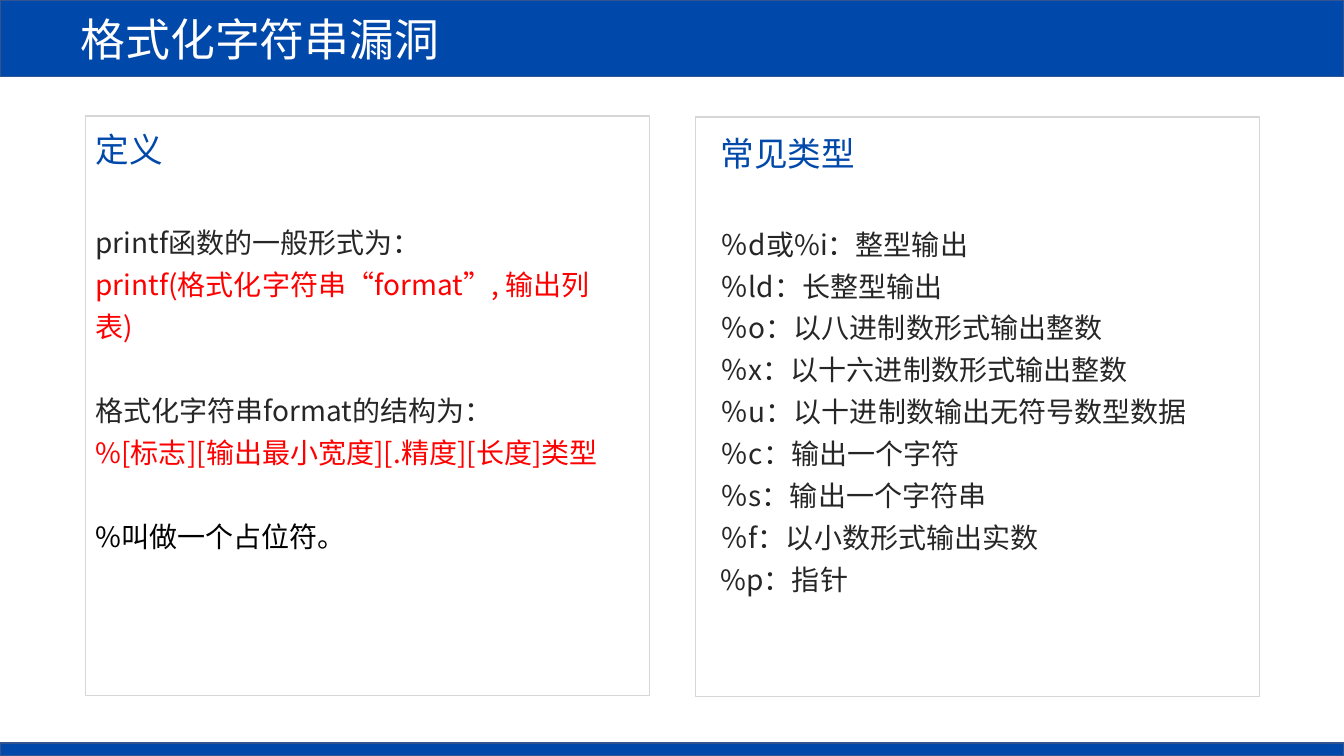
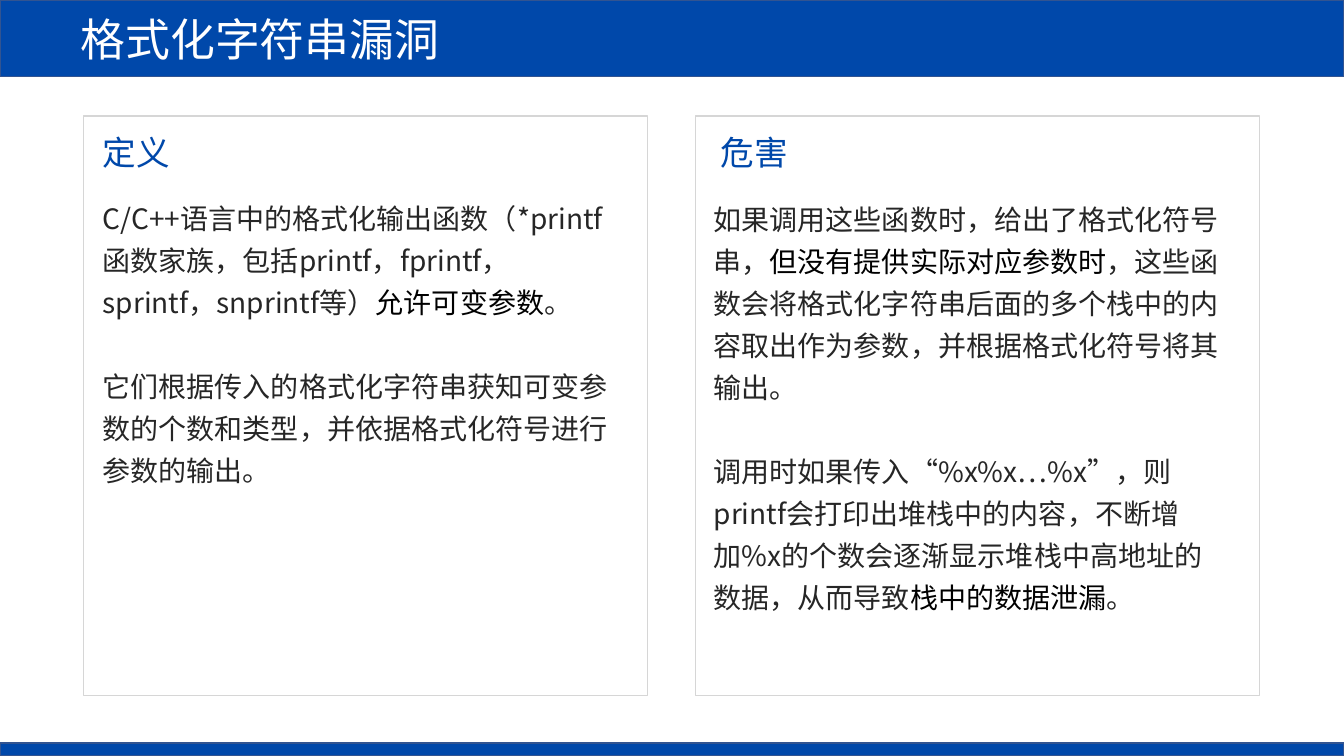
from pptx import Presentation
from pptx.dml.color import RGBColor
from pptx.enum.lang import MSO_LANGUAGE_ID as Language
from pptx.enum.shapes import MSO_SHAPE as Shape
from pptx.enum.text import MSO_ANCHOR as Anchor, MSO_AUTO_SIZE as AutoSize, PP_ALIGN as Align
from pptx.oxml.ns import qn
from pptx.util import Inches, Pt
from lxml.etree import SubElement

BLUE = RGBColor(0x00, 0x48, 0xAA)
BAND_EDGE = RGBColor(0x32, 0x54, 0x91)
PANEL_EDGE = RGBColor(0xD6, 0xD6, 0xD6)
WHITE = RGBColor(0xFF, 0xFF, 0xFF)
DARK = RGBColor(0x26, 0x26, 0x26)
BLACK = RGBColor(0x00, 0x00, 0x00)
RED = RGBColor(0xFF, 0x00, 0x00)

FONT = "Noto Sans CJK SC"
SLIDE_WIDTH, SLIDE_HEIGHT = 13.33, 7.5
TITLE_HEIGHT, FOOTER_HEIGHT = 0.76, 0.13
PANEL_WIDTH, PANEL_HEIGHT = 5.59, 5.75
TITLE = "格式化字符串漏洞"

PRINTF_FORM = [
    [[("printf函数的一般形式为：", DARK)],
     [("printf(格式化字符串“format”, 输出列表)", RED)]],
    [[("格式化字符串format的结构为：", DARK)],
     [("%[标志][输出最小宽度][.精度][长度]类型", RED)]],
    [[("%叫做一个占位符。", BLACK)]],
]
COMMON_TYPES = [[[(line, DARK)] for line in (
    "％d或%i：整型输出",
    "％ld：长整型输出",
    "％o：以八进制数形式输出整数",
    "％x：以十六进制数形式输出整数",
    "％u：以十进制数输出无符号数型数据",
    "％c：输出一个字符",
    "％s：输出一个字符串",
    "％f：以小数形式输出实数",
    "%p：指针",
)]]
DEFINITION = [
    [[("C/C++语言中的格式化输出函数（*printf函数家族，包括printf，"
       "fprintf，sprintf，snprintf等）", DARK),
      ("允许可变参数", BLACK), ("。", DARK)]],
    [[("它们根据传入的格式化字符串获知可变参数的个数和类型，"
       "并依据格式化符号进行参数的输出。", DARK)]],
]
HARM = [
    [[("如果调用这些函数时，给出了格式化符号串，", DARK),
      ("但没有提供实际对应参数时", BLACK),
      ("，这些函数会将格式化字符串后面的多个栈中的内容取出作为参数，"
       "并根据格式化符号将其输出。", DARK)]],
    [[("调用时如果传入“%x%x…%x”，则printf会打印出堆栈中的内容，"
       "不断增加%x的个数会逐渐显示堆栈中高地址的数据，从而导致", DARK),
      ("栈中的数据泄漏", BLACK), ("。", DARK)]],
]


def add_span(para, text, size, color):
    span = para.add_run()
    span.text = text
    span.font.size = Pt(size)
    span.font.color.rgb = color
    span.font.name = FONT
    span.font.language_id = Language.SIMPLIFIED_CHINESE
    SubElement(span.font._element, qn("a:ea"), typeface=FONT)


def add_rectangle(page, left, top, width, height, edge, fill=None):
    box = page.shapes.add_shape(
        Shape.RECTANGLE, Inches(left), Inches(top), Inches(width), Inches(height))
    box.shadow.inherit = False
    if fill is None:
        box.fill.background()
    else:
        box.fill.solid()
        box.fill.fore_color.rgb = fill
    box.line.color.rgb = edge
    box.line.width = Pt(1)
    return box


def add_bands(page):
    header = add_rectangle(page, 0, 0, SLIDE_WIDTH, TITLE_HEIGHT, BAND_EDGE, BLUE)
    frame = header.text_frame
    frame.margin_left = Inches(0.8)
    frame.vertical_anchor = Anchor.MIDDLE
    frame.paragraphs[0].alignment = Align.LEFT
    add_span(frame.paragraphs[0], TITLE, 32, WHITE)
    add_rectangle(page, 0, SLIDE_HEIGHT - FOOTER_HEIGHT, SLIDE_WIDTH,
                  FOOTER_HEIGHT, BAND_EDGE, BLUE)


def add_text_frame(page, left, top, width, height, wrap):
    box = page.shapes.add_textbox(
        Inches(left), Inches(top), Inches(width), Inches(height))
    box.text_frame.word_wrap = wrap
    box.text_frame.auto_size = AutoSize.SHAPE_TO_FIT_TEXT
    return box.text_frame


def add_heading(page, left, top, text):
    width = 0.2 + len(text) / 3
    frame = add_text_frame(page, left, top, width, 0.5, False)
    add_span(frame.paragraphs[0], text, 24, BLUE)


def add_body(page, left, top, width, height, groups):
    frame = add_text_frame(page, left, top, width, height, True)
    for group_index, group in enumerate(groups):
        for line_index, spans in enumerate(group):
            first = group_index == line_index == 0
            para = frame.paragraphs[0] if first else frame.add_paragraph()
            para.line_spacing = 1.25
            if line_index == 0 and not first:
                para.space_before = Pt(30)
            for text, color in spans:
                add_span(para, text, 20, color)


def add_panel(page, corner, heading_at, heading, body_at, groups):
    add_rectangle(page, *corner, PANEL_WIDTH, PANEL_HEIGHT, PANEL_EDGE)
    add_heading(page, *heading_at, heading)
    add_body(page, *body_at, groups)


def add_page(deck, panels):
    page = deck.slides.add_slide(deck.slide_layouts[6])
    add_bands(page)
    for panel in panels:
        add_panel(page, *panel)


def main():
    deck = Presentation()
    deck.slide_width = Inches(SLIDE_WIDTH)
    deck.slide_height = Inches(SLIDE_HEIGHT)
    add_page(deck, [
        ((0.85, 1.15), (0.85, 1.23), "定义", (0.85, 2.11, 5.43, 3.43), PRINTF_FORM),
        ((6.9, 1.16), (7.05, 1.27), "常见类型", (7.05, 2.12, 5.28, 4.27), COMMON_TYPES),
    ])
    add_page(deck, [
        ((0.83, 1.15), (0.92, 1.26), "定义", (0.92, 1.87, 5.28, 3.43), DEFINITION),
        ((6.9, 1.15), (7.05, 1.26), "危害", (6.98, 1.88, 5.28, 4.27), HARM),
    ])
    deck.save("out.pptx")


if __name__ == "__main__":
    main()
